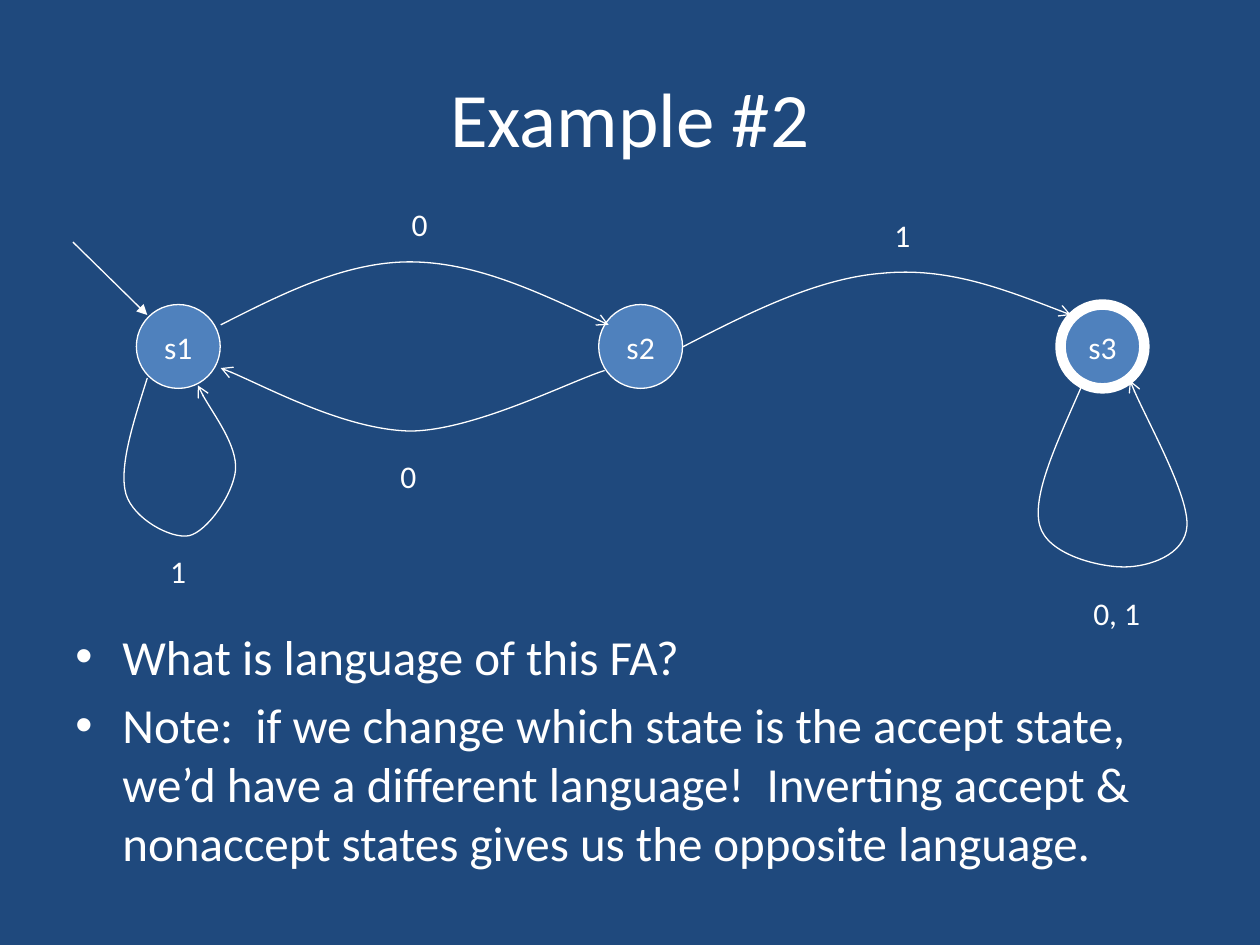
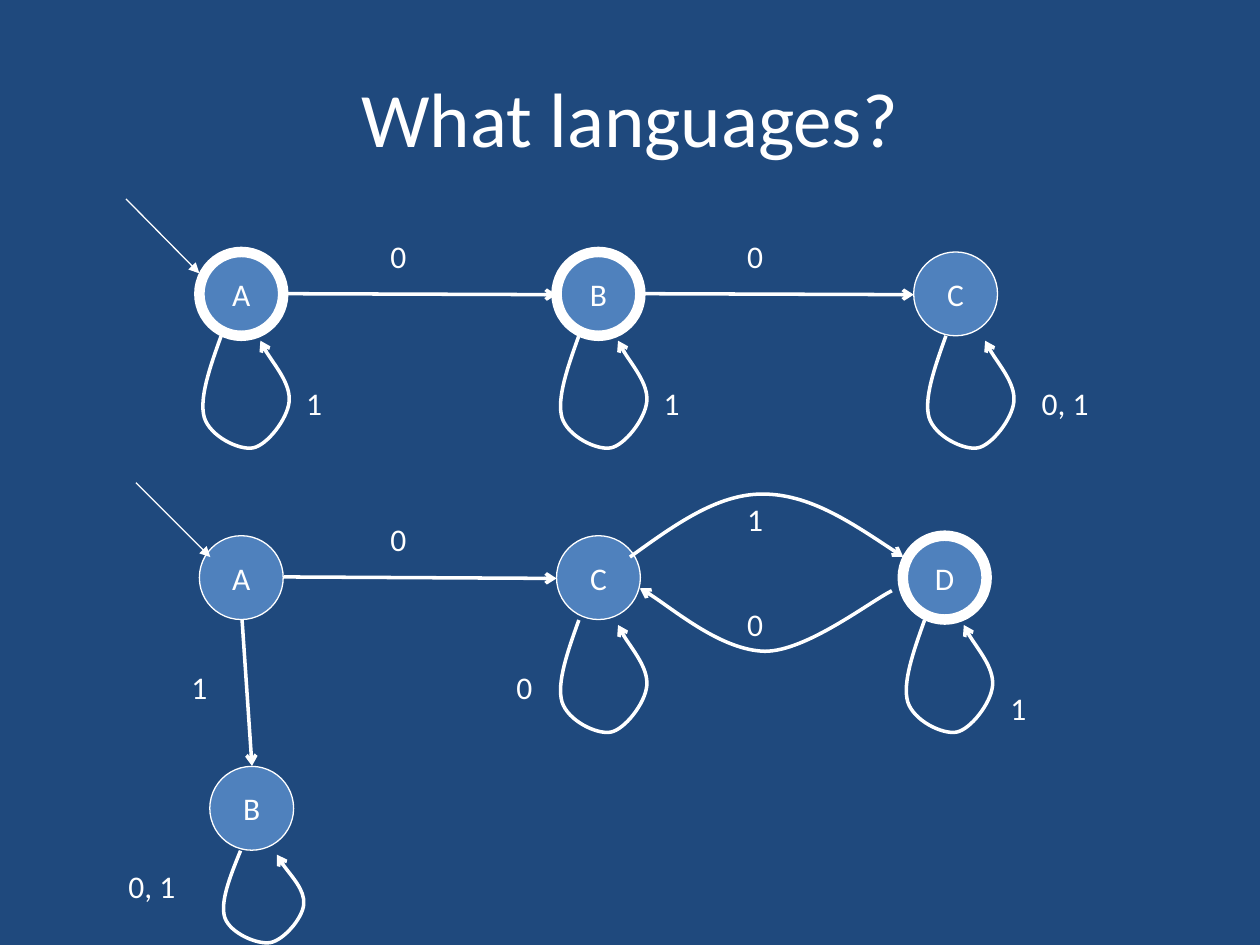
from lxml.etree import SubElement
from pptx import Presentation
from pptx.dml.color import RGBColor
from pptx.enum.shapes import MSO_CONNECTOR, MSO_SHAPE
from pptx.enum.text import MSO_ANCHOR, PP_ALIGN
from pptx.oxml.ns import qn
from pptx.util import Cm, Pt

NAVY = "1F497D"
BLUE = "4F81BD"
WHITE = "FFFFFF"
FONT = "Calibri"
STATE_SIZE = 1.69
LABEL_HEIGHT = 1.02
THIN, BOLD, ACCEPT = 0.75, 2, 6

LOOP = [(0, 0), (-0.23, 0.64), (-0.45, 1.27), (-0.34, 1.65), (-0.22, 2.03),
        (0.36, 2.31), (0.64, 2.26), (0.92, 2.21), (1.34, 1.68), (1.37, 1.32),
        (1.4, 0.96), (0.89, 0.36), (0.79, 0.1)]
LOOP_STARTS = [(4.46, 6.77, 1, 1), (11.67, 6.77, 1, 1), (19.07, 6.77, 1, 1),
               (11.67, 12.5, 1, 1), (18.64, 12.5, 1, 1), (4.85, 17.15, 0.93, 0.82)]

example = {
    "title": "Example #2",
    "weight": THIN,
    "states": [("s1", 2.75, 6.14, THIN), ("s2", 12.07, 6.14, THIN),
               ("s3", 21.38, 6.14, ACCEPT)],
    "entries": [(1.47, 4.88, 2.97, 6.35)],
    "straight": [],
    "curves": [
        [(2.97, 7.62), (2.69, 8.51), (2.39, 9.42), (2.54, 9.96), (2.69, 10.46),
         (3.45, 10.87), (3.81, 10.8), (4.17, 10.72), (4.7, 9.98), (4.75, 9.47),
         (4.78, 8.97), (4.14, 8.13), (3.99, 7.77)],
        [(21.79, 7.82), (21.31, 8.92), (20.8, 9.98), (20.96, 10.59), (21.11, 11.18),
         (22.15, 11.43), (22.66, 11.43), (23.14, 11.43), (23.9, 11.2), (23.93, 10.59),
         (23.95, 9.96), (23.01, 8.28), (22.78, 7.67)],
        [(4.45, 6.55), (5.69, 5.92), (6.96, 5.28), (8.26, 5.28),
         (9.55, 5.28), (10.92, 5.92), (12.27, 6.55)],
        [(12.19, 7.47), (11.53, 7.67), (9.55, 8.69), (8.26, 8.69),
         (6.96, 8.66), (5.08, 7.65), (4.45, 7.42)],
        [(13.77, 6.99), (15.11, 6.3), (16.48, 5.61), (17.78, 5.51),
         (19.08, 5.38), (20.35, 5.87), (21.59, 6.35)],
    ],
    "labels": [("0", 8.05, 4.01, 0.84), ("0", 7.82, 9.09, 1.07), ("1", 17.78, 4.24, 1.27),
               ("0, 1", 21.79, 11.86, 1.9), ("1", 3.18, 11, 1.07)],
    "bullets": [
        "What is language of this FA?",
        "Note:  if we change which state is the accept state, we’d have a different "
        "language!  Inverting accept & nonaccept states gives us the opposite language.",
    ],
}

languages = {
    "title": "What languages?",
    "weight": BOLD,
    "states": [("A", 4.02, 5.08, ACCEPT), ("B", 11.22, 5.08, ACCEPT), ("C", 18.42, 5.08, THIN),
               ("A", 4.02, 10.8, THIN), ("C", 11.22, 10.8, THIN), ("D", 18.2, 10.8, ACCEPT),
               ("B", 4.23, 15.45, THIN)],
    "entries": [(2.54, 4.01, 4.02, 5.51), (2.74, 9.73, 4.24, 11.23)],
    "straight": [(5.72, 5.92, 11.22, 5.94), (12.9, 5.92, 18.42, 5.94),
                 (5.72, 11.63, 11.22, 11.66), (4.88, 12.5, 5.08, 15.44)],
    "curves": [
        [(12.7, 11.23), (13.59, 10.59), (14.45, 9.96), (15.37, 9.96),
         (16.31, 9.96), (17.25, 10.59), (18.21, 11.23)],
        [(17.98, 11.91), (17.55, 12.12), (16.26, 13.13), (15.42, 13.13),
         (14.55, 13.11), (13.34, 12.09), (12.9, 11.86)],
    ] + [[(left + x * wide, top + y * high) for x, y in LOOP]
         for left, top, wide, high in LOOP_STARTS],
    "labels": [("0", 7.62, 4.65, 1.07), ("0", 14.81, 4.65, 1.07), ("1", 5.92, 7.62, 1.07),
               ("1", 13.13, 7.62, 1.07), ("0, 1", 20.75, 7.62, 1.9), ("0", 7.62, 10.36, 1.07),
               ("1", 3.61, 13.34, 1.07), ("0, 1", 2.34, 17.35, 1.9), ("0", 10.16, 13.34, 1.07),
               ("1", 20.12, 13.77, 1.07), ("1", 14.81, 9.96, 1.07), ("0", 14.81, 12.07, 1.07)],
    "bullets": [],
}


def write_text(paragraph, text, size, alignment=PP_ALIGN.LEFT):
    paragraph.text = text
    paragraph.alignment = alignment
    for run in paragraph.runs:
        run.font.name = FONT
        run.font.size = Pt(size)
        run.font.color.rgb = RGBColor.from_string(WHITE)


def draw_line(shape, weight, arrowhead=None):
    shape.line.color.rgb = RGBColor.from_string(WHITE)
    shape.line.width = Pt(weight)
    properties = shape.element.spPr
    if arrowhead:
        SubElement(properties.find(qn("a:ln")), qn("a:tailEnd"), type=arrowhead)
    SubElement(properties, qn("a:effectLst"))


presentation = Presentation()
presentation.slide_width = Cm(25.4)
presentation.slide_height = Cm(19.05)

for diagram in (example, languages):
    slide = presentation.slides.add_slide(presentation.slide_layouts[6])
    slide.background.fill.solid()
    slide.background.fill.fore_color.rgb = RGBColor.from_string(NAVY)

    title = slide.shapes.add_textbox(Cm(1.27), Cm(0.76), Cm(22.86), Cm(3.18))
    title.text_frame.word_wrap = True
    title.text_frame.vertical_anchor = MSO_ANCHOR.MIDDLE
    write_text(title.text_frame.paragraphs[0], diagram["title"], 44, PP_ALIGN.CENTER)

    if diagram["bullets"]:
        body = slide.shapes.add_textbox(Cm(1.27), Cm(12.5), Cm(22.86), Cm(5.92))
        body.text_frame.word_wrap = True
        for index, bullet in enumerate(diagram["bullets"]):
            paragraph = body.text_frame.paragraphs[0]
            if index:
                paragraph = body.text_frame.add_paragraph()
                paragraph.space_before = Pt(5.6)
            properties = paragraph._p.get_or_add_pPr()
            properties.set("marL", str(Cm(0.95)))
            properties.set("indent", str(-Cm(0.95)))
            SubElement(properties, qn("a:buFont"), typeface="Arial")
            SubElement(properties, qn("a:buChar"), char="•")
            write_text(paragraph, bullet, 28)

    for name, left, top, weight in diagram["states"]:
        state = slide.shapes.add_shape(
            MSO_SHAPE.OVAL, Cm(left), Cm(top), Cm(STATE_SIZE), Cm(STATE_SIZE))
        state.fill.solid()
        state.fill.fore_color.rgb = RGBColor.from_string(BLUE)
        draw_line(state, weight)
        state.shadow.inherit = False
        state.text_frame.word_wrap = False
        state.text_frame.vertical_anchor = MSO_ANCHOR.MIDDLE
        write_text(state.text_frame.paragraphs[0], name, 18, PP_ALIGN.CENTER)

    for arrows, weight, arrowhead in (("entries", THIN, "triangle"), ("straight", BOLD, "arrow")):
        for ends in diagram[arrows]:
            connector = slide.shapes.add_connector(
                MSO_CONNECTOR.STRAIGHT, *[Cm(value) for value in ends])
            draw_line(connector, weight, arrowhead)

    for curve in diagram["curves"]:
        start, *points = [(Cm(x), Cm(y)) for x, y in curve]
        builder = slide.shapes.build_freeform(*start)
        builder.add_line_segments(points, close=False)
        transition = builder.convert_to_shape()
        transition.fill.background()
        draw_line(transition, diagram["weight"], "arrow")
        transition.shadow.inherit = False
        outline = next(transition.element.iter(qn("a:path")))
        segments = outline.findall(qn("a:lnTo"))
        for first in range(0, len(segments), 3):
            bezier = SubElement(outline, qn("a:cubicBezTo"))
            for segment in segments[first:first + 3]:
                bezier.append(segment[0])
                outline.remove(segment)

    for symbol, left, top, width in diagram["labels"]:
        label = slide.shapes.add_textbox(Cm(left), Cm(top), Cm(width), Cm(LABEL_HEIGHT))
        label.text_frame.word_wrap = True
        write_text(label.text_frame.paragraphs[0], symbol, 18)

presentation.save("out.pptx")
